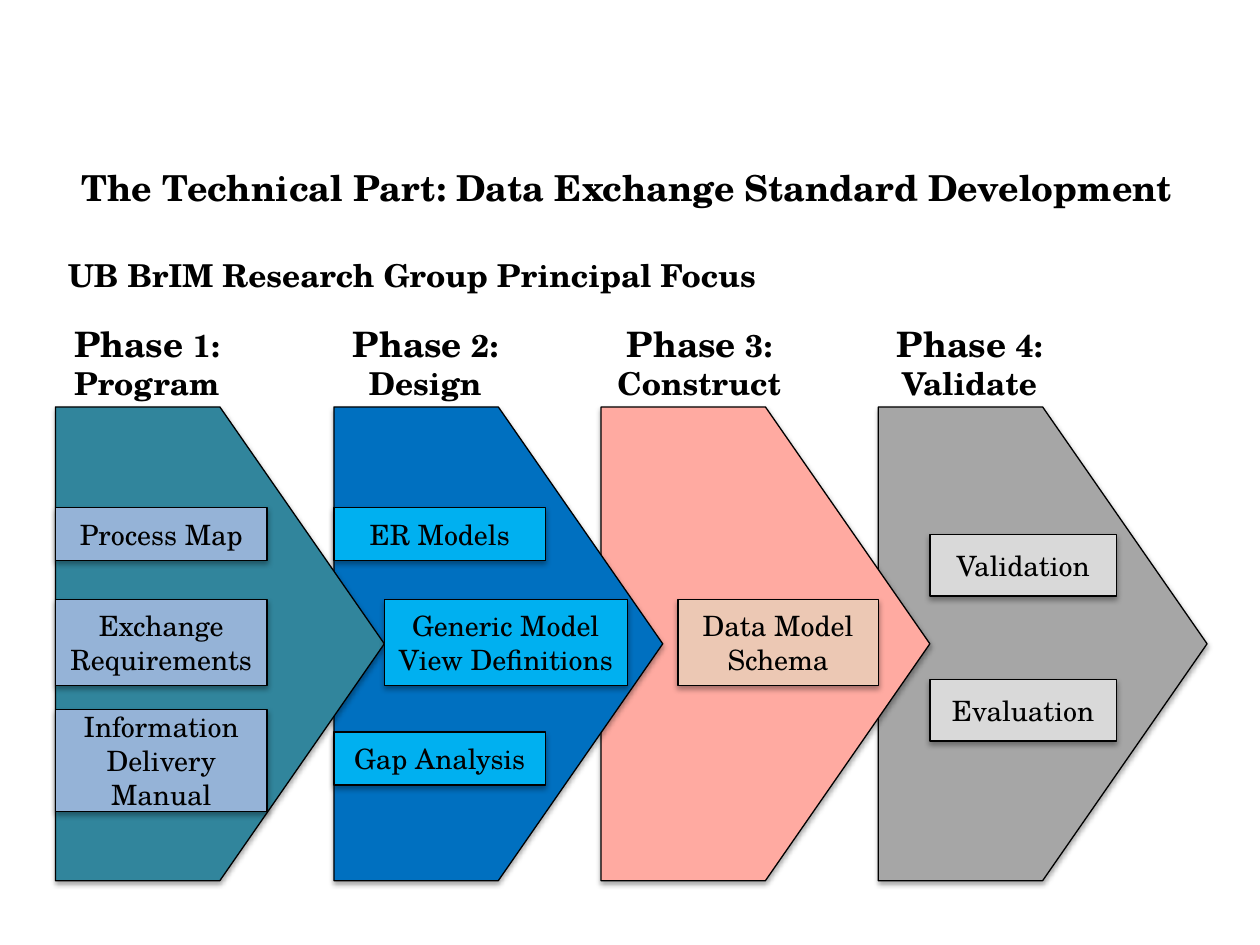
import pptx
import pptx.util
import pptx.dml.color
import pptx.enum.shapes
import pptx.enum.text
import pptx.oxml.ns
import lxml.etree

Inches = pptx.util.Inches
Pt = pptx.util.Pt
RGBColor = pptx.dml.color.RGBColor
Shape = pptx.enum.shapes.MSO_SHAPE
Align = pptx.enum.text.PP_ALIGN
Anchor = pptx.enum.text.MSO_ANCHOR
AutoSize = pptx.enum.text.MSO_AUTO_SIZE

BLACK = RGBColor(0x00, 0x00, 0x00)
TEAL = RGBColor(0x31, 0x85, 0x9C)
BLUE = RGBColor(0x00, 0x70, 0xC0)
PINK = RGBColor(0xFF, 0xAA, 0xA1)
GRAY = RGBColor(0xA6, 0xA6, 0xA6)
PALE_BLUE = RGBColor(0x95, 0xB3, 0xD7)
SKY = RGBColor(0x00, 0xB0, 0xF0)
SAND = RGBColor(0xEC, 0xC8, 0xB4)
PALE_GRAY = RGBColor(0xD9, 0xD9, 0xD9)

ARROW_TOP, ARROW_WIDTH, ARROW_HEIGHT = 3.23, 2.61, 3.76
HEADING_TOP, HEADING_HEIGHT = 2.51, 0.74

# Phase name, left edge, heading width, arrow colour
PHASES = [
    ("Program", 0.44, 1.45, TEAL),
    ("Design", 2.65, 1.45, BLUE),
    ("Construct", 4.77, 1.56, PINK),
    ("Validate", 6.97, 1.45, GRAY),
]

# Task text, left, top, width, height, colour
TASKS = [
    ("Process Map", 0.44, 4.03, 1.68, 0.42, PALE_BLUE),
    ("Exchange Requirements", 0.44, 4.76, 1.68, 0.68, PALE_BLUE),
    ("Information Delivery Manual", 0.44, 5.63, 1.68, 0.81, PALE_BLUE),
    ("ER Models", 2.65, 4.03, 1.68, 0.42, SKY),
    ("Generic Model View Definitions", 3.05, 4.76, 1.93, 0.68, SKY),
    ("Gap Analysis", 2.65, 5.81, 1.68, 0.42, SKY),
    ("Data Model Schema", 5.38, 4.76, 1.59, 0.68, SAND),
    ("Validation", 7.38, 4.24, 1.48, 0.49, PALE_GRAY),
    ("Evaluation", 7.38, 5.39, 1.48, 0.49, PALE_GRAY),
]


class SlideBuilder:
    font_name = "TeX Gyre Schola"

    def __init__(self, slide):
        self.slide = slide

    def style(self, font, size, bold=False):
        font.name = self.font_name
        font.size = Pt(size)
        font.bold = bold
        font.color.rgb = BLACK

    def title(self, text, left, top, width, height):
        shape = self.slide.shapes.title
        shape.left, shape.top = Inches(left), Inches(top)
        shape.width, shape.height = Inches(width), Inches(height)
        frame = shape.text_frame
        frame.text = text
        frame.word_wrap = True
        frame.auto_size = AutoSize.NONE
        frame.vertical_anchor = Anchor.TOP
        paragraph = frame.paragraphs[0]
        paragraph.alignment = Align.CENTER
        paragraph.line_spacing = 1.1
        self.style(paragraph.runs[0].font, 20.4, bold=True)

    def text_box(self, left, top, width, height):
        shape = self.slide.shapes.add_textbox(
            Inches(left), Inches(top), Inches(width), Inches(height))
        shape.text_frame.word_wrap = True
        shape.text_frame.auto_size = AutoSize.SHAPE_TO_FIT_TEXT
        return shape.text_frame

    def subtitle(self, text, left, top, width, height):
        frame = self.text_box(left, top, width, height)
        frame.text = text
        self.style(frame.paragraphs[0].runs[0].font, 18, bold=True)

    def phase_heading(self, number, name, left, width):
        frame = self.text_box(left, HEADING_TOP, width, HEADING_HEIGHT)
        number_line = frame.paragraphs[0]
        name_line = frame.add_paragraph()
        for paragraph, text, size in ((number_line, "Phase", 20),
                                      (number_line, f" {number}:", 18),
                                      (name_line, name, 18)):
            paragraph.alignment = Align.CENTER
            run = paragraph.add_run()
            run.text = text
            self.style(run.font, size, bold=True)

    def block(self, preset, left, top, width, height, color):
        shape = self.slide.shapes.add_shape(
            preset, Inches(left), Inches(top), Inches(width), Inches(height))
        shape.fill.solid()
        shape.fill.fore_color.rgb = color
        shape.line.color.rgb = BLACK
        shape.line.width = Pt(0.75)
        self.soft_shadow(shape)
        return shape

    def soft_shadow(self, shape):
        shape.shadow.inherit = False
        qn = pptx.oxml.ns.qn
        effects = shape._element.spPr.find(qn("a:effectLst"))
        shadow = lxml.etree.SubElement(
            effects, qn("a:outerShdw"), blurRad="40000", dist="23000",
            dir="5400000", rotWithShape="0")
        color = lxml.etree.SubElement(shadow, qn("a:srgbClr"), val=str(BLACK))
        lxml.etree.SubElement(color, qn("a:alpha"), val="35000")

    def phase_arrow(self, left, color):
        self.block(Shape.PENTAGON, left, ARROW_TOP, ARROW_WIDTH, ARROW_HEIGHT, color)

    def task(self, text, left, top, width, height, color):
        shape = self.block(Shape.RECTANGLE, left, top, width, height, color)
        frame = shape.text_frame
        frame.text = text
        frame.word_wrap = True
        frame.vertical_anchor = Anchor.MIDDLE
        paragraph = frame.paragraphs[0]
        paragraph.alignment = Align.CENTER
        self.style(paragraph.runs[0].font, 16)


def main():
    presentation = pptx.Presentation()
    presentation.slide_width = Inches(10)
    presentation.slide_height = Inches(7.5)
    title_only = presentation.slide_layouts[5]
    builder = SlideBuilder(presentation.slides.add_slide(title_only))

    # Title and subtitle
    builder.title("The Technical Part: Data Exchange Standard Development",
                  0.35, 1.23, 9.25, 0.75)
    builder.subtitle("UB BrIM Research Group Principal Focus", 0.44, 1.98, 9.13, 0.4)

    # Arrows, last phase first so that each one overlaps the next
    for name, left, width, color in reversed(PHASES):
        builder.phase_arrow(left, color)

    # Phase headings
    for number, (name, left, width, color) in enumerate(PHASES, start=1):
        builder.phase_heading(number, name, left, width)

    # Task boxes
    for task in TASKS:
        builder.task(*task)

    presentation.save("out.pptx")


if __name__ == "__main__":
    main()
